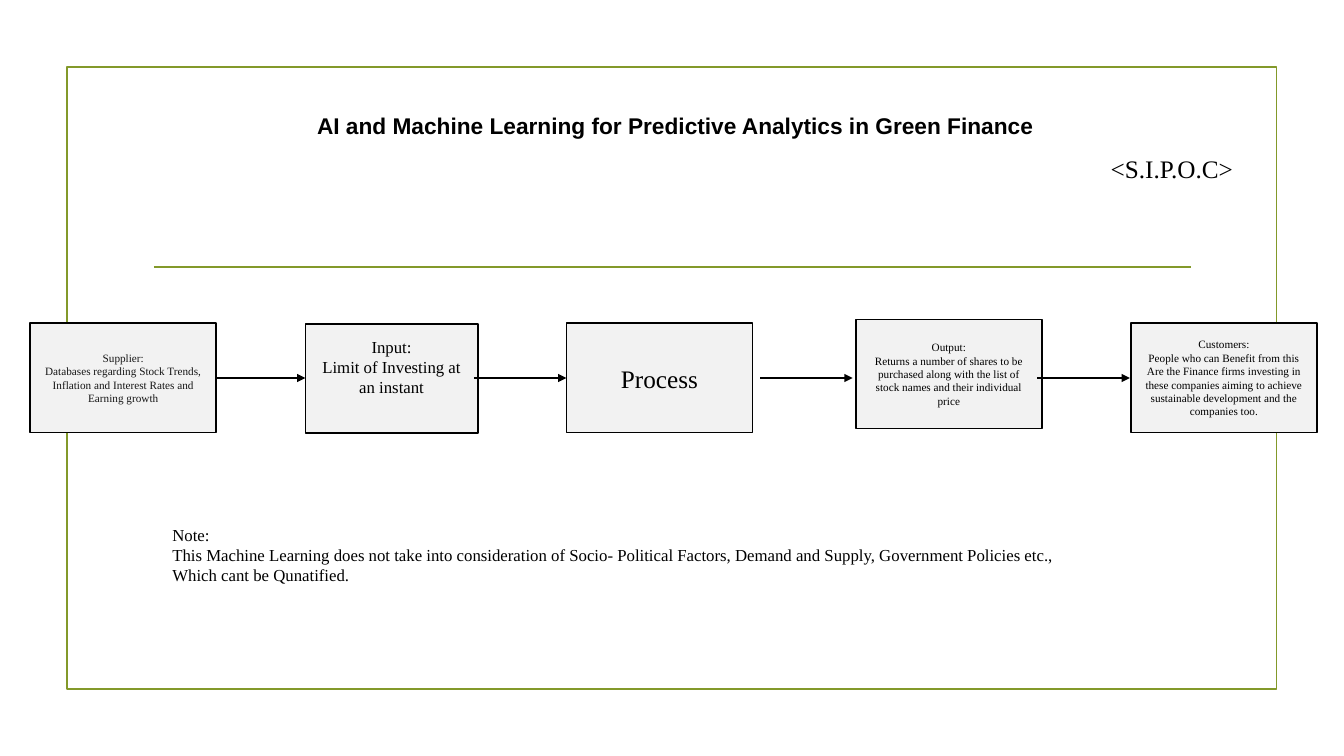
from lxml import etree
from pptx import Presentation
from pptx.dml.color import RGBColor
from pptx.enum import shapes, text
from pptx.oxml.ns import qn
from pptx.util import Pt

# Content
TITLE = "AI and Machine Learning for Predictive Analytics in Green Finance"
TAG = "<S.I.P.O.C>"
NOTE = [
    "Note:",
    "This Machine Learning does not take into consideration of Socio- Political Factors, "
    "Demand and Supply, Government Policies etc., Which cant be Qunatified.",
]
# Stages: left, top, width, type size, colour, anchor, paragraphs
STAGES = [
    (21.6, 231, 133, "small", "soft", "middle",
     ["Supplier:", "Databases regarding Stock Trends, Inflation and Interest Rates and Earning growth"]),
    (218.2, 231.5, 123, "body", "ink", "top",
     ["Input:", "Limit of Investing at an instant"]),
    (404.6, 231, 133, "large", "ink", "middle", ["Process"]),
    (611.3, 228.2, 133, "small", "ink", "middle",
     ["Output:", "Returns a number of shares to be purchased along with the list of "
      "stock names and their individual price"]),
    (807.8, 231, 133, "small", "ink", "middle",
     ["Customers:", "People who can Benefit from this Are the Finance firms investing in "
      "these companies aiming to achieve sustainable development and the companies too."]),
]
STAGE_HEIGHT = 78
ARROWS = [(154.3, 218.2), (338.4, 404.6), (542.9, 609.1), (740.9, 807.1)]
ARROW_Y = 270

THEME = {
    "ink": "000000", "soft": "161616", "green": "83992A", "panel": "F2F2F2",
    "heading_font": "Arial", "body_font": "Times New Roman",
    "title": 16.2, "large": 18, "body": 12, "small": 8,
    "bold_line": 1.25, "thin_line": 0.75,
}
ALIGN = text.PP_ALIGN
ANCHOR = {"top": text.MSO_ANCHOR.TOP, "middle": text.MSO_ANCHOR.MIDDLE}


def colour(name):
    return RGBColor.from_string(THEME[name])


def write(shape, lines, size, align, ink="ink", anchor="top", font="body_font", bold=False):
    frame = shape.text_frame
    frame.word_wrap = True
    frame.vertical_anchor = ANCHOR[anchor]
    for index, line in enumerate(lines):
        para = frame.add_paragraph() if index else frame.paragraphs[0]
        para.alignment = align
        span = para.add_run()
        span.text = line
        span.font.name = THEME[font]
        span.font.size = Pt(THEME[size])
        span.font.bold = bold
        span.font.color.rgb = colour(ink)
    return frame


def add_text(left, top, width, height, lines, size, align, **style):
    box = page.shapes.add_textbox(Pt(left), Pt(top), Pt(width), Pt(height))
    return write(box, lines, size, align, **style)


def add_box(left, top, width, height, line, fill=None):
    box = page.shapes.add_shape(shapes.MSO_SHAPE.RECTANGLE,
                                Pt(left), Pt(top), Pt(width), Pt(height))
    box.shadow.inherit = False
    if fill:
        box.fill.solid()
        box.fill.fore_color.rgb = colour(fill)
    else:
        box.fill.background()
    box.line.color.rgb = colour(line)
    box.line.width = Pt(THEME["bold_line"])
    return box


def add_line(start, end, y, ink, weight, arrow=False):
    line = page.shapes.add_connector(shapes.MSO_CONNECTOR.STRAIGHT,
                                     Pt(start), Pt(y), Pt(end), Pt(y))
    line.line.color.rgb = colour(ink)
    line.line.width = Pt(THEME[weight])
    if arrow:
        etree.SubElement(line.line._get_or_add_ln(), qn("a:tailEnd"), type="triangle")
    etree.SubElement(line._element.spPr, qn("a:effectLst"))


deck = Presentation()
deck.slide_width, deck.slide_height = Pt(960), Pt(540)
page = deck.slides.add_slide(deck.slide_layouts[6])

# Frame and divider
add_box(47.8, 48, 864, 444, "green")
add_line(110, 850.5, 190.8, "green", "bold_line")

# Heading
add_text(70.5, 75, 823.5, 29, [TITLE], "title", ALIGN.CENTER,
         anchor="middle", font="heading_font", bold=True)
add_text(600.5, 106, 287.3, 29, [TAG], "large", ALIGN.RIGHT)

# Stages
for left, top, width, size, ink, anchor, lines in STAGES:
    box = add_box(left, top, width, STAGE_HEIGHT, "ink", "panel")
    frame = write(box, lines, size, ALIGN.CENTER, ink=ink, anchor=anchor)
    if anchor == "top":
        frame.margin_top = Pt(9)

# Arrows between stages
for start, end in ARROWS:
    add_line(start, end, ARROW_Y, "ink", "thin_line", arrow=True)

# Note
add_text(116, 371, 646, 51, NOTE, "body", ALIGN.LEFT)

deck.save("out.pptx")
